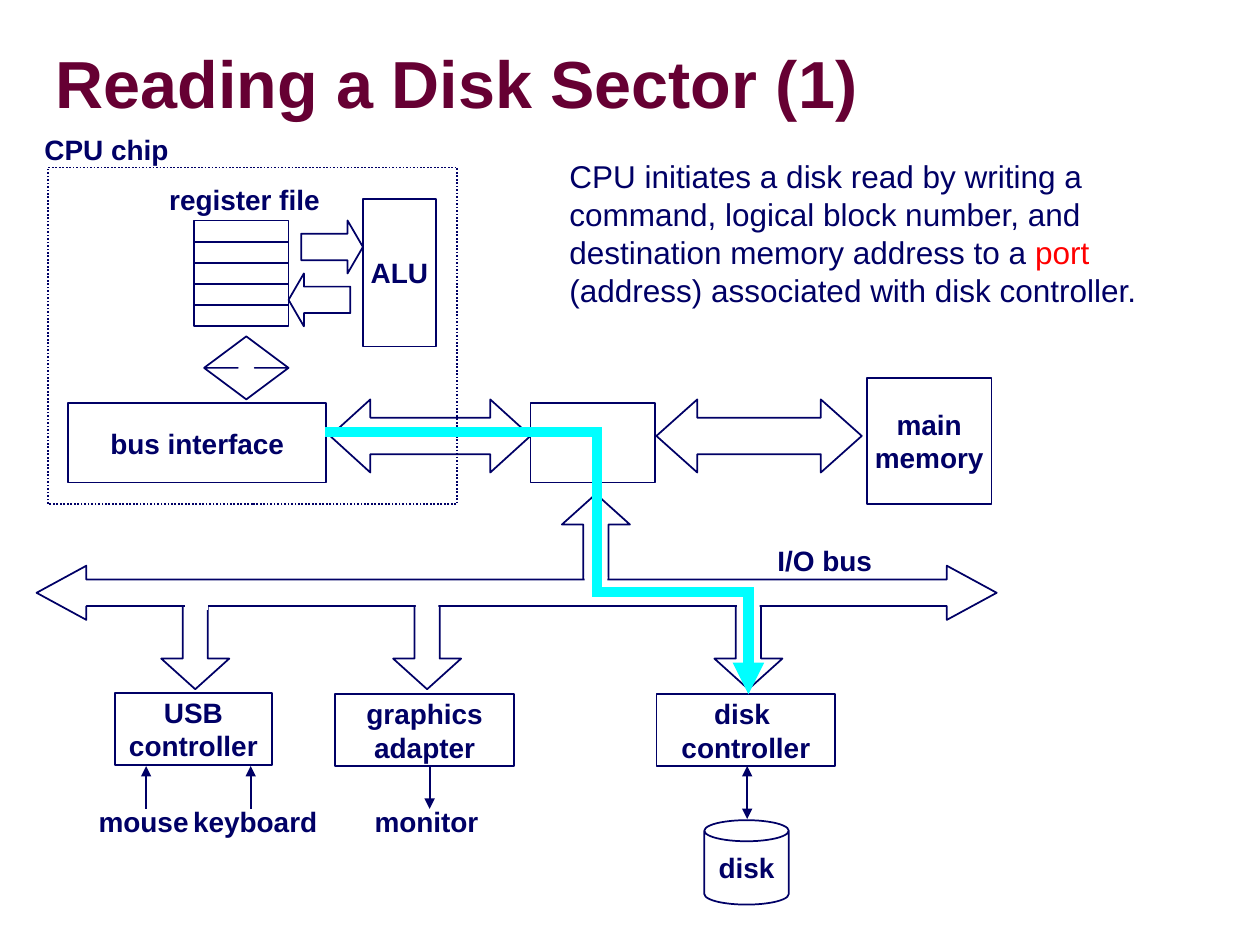
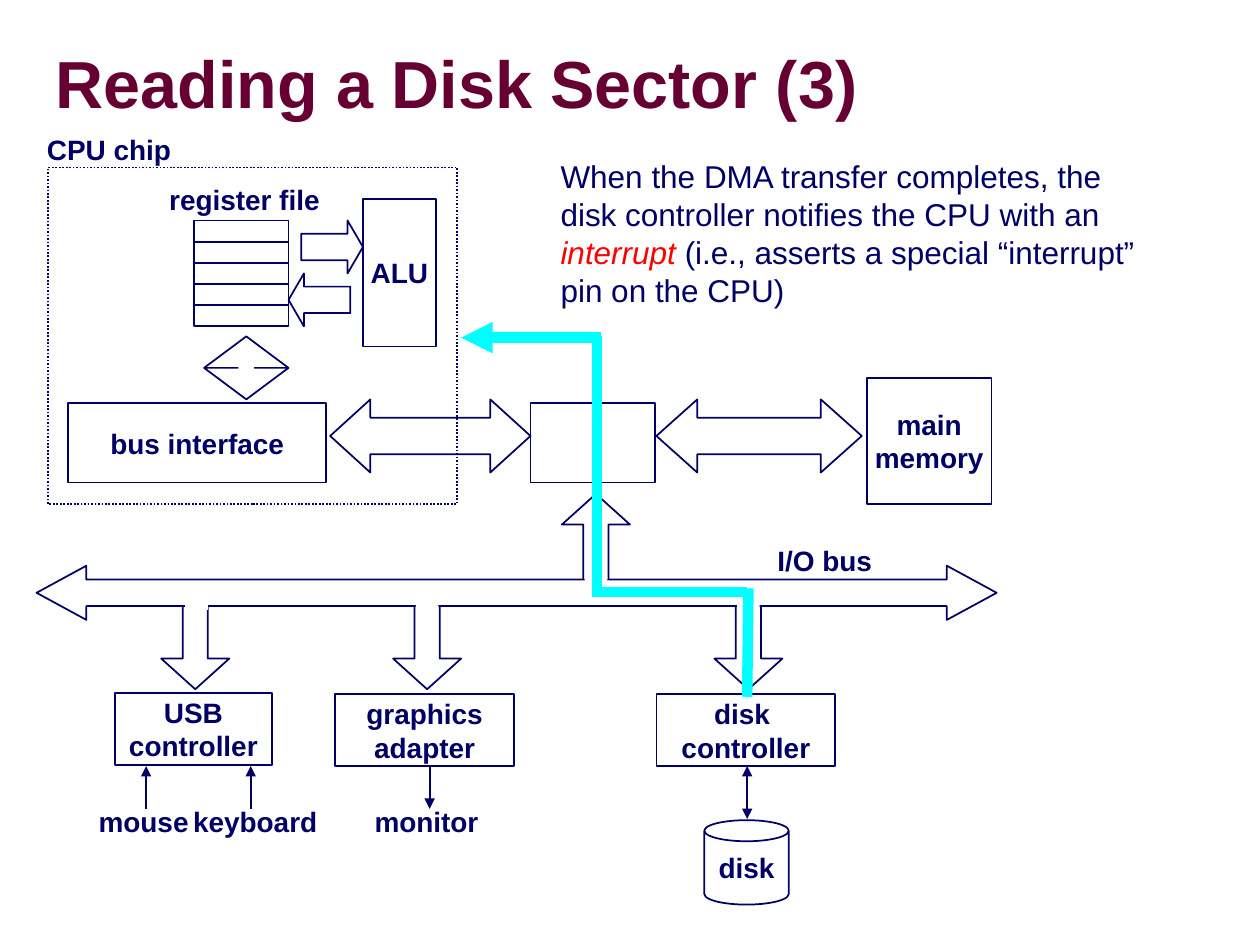
from lxml import etree
from pptx import Presentation
from pptx.dml.color import RGBColor
from pptx.enum.dml import MSO_LINE
from pptx.enum.shapes import MSO_CONNECTOR, MSO_SHAPE as MS
from pptx.enum.text import MSO_ANCHOR, MSO_AUTO_SIZE, PP_ALIGN
from pptx.oxml.ns import qn
from pptx.util import Inches, Pt

COLORS = {"navy": "000066", "wine": "660033", "red": "FF0000",
          "cyan": "00FFFF", "white": "FFFFFF", "gray": "969696"}
FONT = "Arial"

# title, place of the chip label, place of the note, note runs, route of the signal
# a run is (text, colour, italic); a route leg is (start, end, arrow ends)
SLIDES = [
    {"title": "Reading a Disk Sector (1)", "chip": 0.25, "note": 4.42,
     "runs": [("CPU initiates a disk read by writing a command, logical block number, "
               "and destination memory address to a ", "navy", False),
              ("port ", "red", False),
              ("(address) associated with disk controller.", "navy", False)],
     "route": [((2.58, 3.43), (4.78, 3.43), ""),
               ((4.74, 3.43), (4.74, 4.67), ""),
               ((4.7, 4.7), (5.93, 4.7), ""),
               ((5.94, 4.66), (5.94, 5.51), "tail")]},
    {"title": "Reading a Disk Sector (3)", "chip": 0.27, "note": 4.35,
     "runs": [("When the DMA transfer completes, the disk controller notifies "
               "the CPU with an ", "navy", False),
              ("interrupt", "red", True),
              (" (i.e., asserts a special “interrupt” pin on the CPU)", "navy", False)],
     "route": [((4.77, 2.68), (3.66, 2.68), "tail"),
               ((4.74, 2.67), (4.74, 4.67), ""),
               ((4.7, 4.7), (5.93, 4.7), ""),
               ((5.94, 4.67), (5.93, 5.53), "")]},
]

# text, (left, top, width, height)
BOXES = [
    ("main\nmemory", (6.88, 3, 0.99, 1)),
    ("", (4.21, 3.2, 0.99, 0.63)),
    ("ALU", (2.88, 1.58, 0.58, 1.17)),
    ("disk \ncontroller", (5.21, 5.51, 1.42, 0.57)),
    ("graphics\nadapter", (2.66, 5.51, 1.42, 0.57)),
    ("USB\ncontroller", (0.91, 5.5, 1.25, 0.57)),
    ("bus interface", (0.54, 3.2, 2.05, 0.63)),
]
CHIP = (0.38, 1.33, 3.25, 2.67)
DISK = (5.59, 6.51, 0.67, 0.67)
REGS = (1.54, 1.75, 0.75, 0.17)
REG_COUNT, REG_STEP = 5, 1 / 6

# preset, place, adjustments
ARROWS = [
    (MS.LEFT_RIGHT_ARROW, (5.21, 3.17, 1.63, 0.58), (0.5, 0.56)),
    (MS.LEFT_RIGHT_ARROW, (2.62, 3.17, 1.59, 0.58), (0.5, 0.55)),
    (MS.RIGHT_ARROW, (2.39, 1.75, 0.49, 0.42), (0.5, 0.29)),
    (MS.LEFT_ARROW, (2.29, 2.17, 0.49, 0.42), (0.5, 0.29)),
    (MS.UP_DOWN_ARROW, (1.62, 2.67, 0.67, 0.5), (0.5, 0.2)),
    (MS.UP_ARROW, (4.46, 3.92, 0.54, 0.75), (0.37, 0.45)),
] + [(MS.DOWN_ARROW, (x, 4.72, 0.54, 0.75), (0.37, 0.45)) for x in (1.28, 3.12, 5.67)]
IO_BUS = (0.29, 4.49, 7.62, 0.43)
JOINTS = [(1.47, 4.67), (3.3, 4.66), (5.85, 4.65), (4.64, 4.58)]

LABELS = [
    ("register file", (1.24, 1.4, 1.4, 0.37)),
    ("mouse", (0.68, 6.33, 0.92, 0.37)),
    ("keyboard", (1.43, 6.33, 1.19, 0.37)),
    ("monitor", (2.87, 6.33, 1.03, 0.37)),
    ("I/O bus", (6.07, 4.26, 0.95, 0.37)),
]
# x, bottom, arrow ends
WIRES = [(1.16, 6.42, "head"), (1.99, 6.42, "head"),
         (3.41, 6.42, "tail"), (5.93, 6.5, "head tail")]


def rgb(name):
    return RGBColor.from_string(COLORS[name])


def inches(place):
    return [Inches(v) for v in place]


def style(run, size, color="navy", bold=False, italic=False):
    font = run.font
    font.name, font.size, font.bold, font.italic = FONT, Pt(size), bold, italic
    font.color.rgb = rgb(color)


def caption(shape, text):
    """Centre bold text in a shape, without wrapping."""
    frame = shape.text_frame
    frame.text = text
    frame.word_wrap = False
    frame.vertical_anchor = MSO_ANCHOR.MIDDLE
    for para in frame.paragraphs:
        para.alignment = PP_ALIGN.CENTER
        for run in para.runs:
            style(run, 16, bold=True)


def draw(slide, kind, place, text="", adj=(), fill=None, line="navy"):
    shape = slide.shapes.add_shape(kind, *inches(place))
    shape.shadow.inherit = False
    for i, value in enumerate(adj):
        shape.adjustments[i] = value
    if fill:
        shape.fill.solid()
        shape.fill.fore_color.rgb = rgb(fill)
    else:
        shape.fill.background()
    if line:
        shape.line.color.rgb = rgb(line)
        shape.line.width = Pt(1)
    else:
        shape.line.fill.background()
    if text:
        caption(shape, text)
    return shape


def label(slide, text, place):
    caption(slide.shapes.add_textbox(*inches(place)), text)


def wire(slide, start, end, ends, color="navy", width=1):
    link = slide.shapes.add_connector(MSO_CONNECTOR.STRAIGHT, *inches(start + end))
    link.line.color.rgb = rgb(color)
    link.line.width = Pt(width)
    props = link._element.spPr
    for side in ends.split():
        etree.SubElement(props.find(qn("a:ln")), qn(f"a:{side}End"), type="triangle")
    etree.SubElement(props, qn("a:effectLst"))


def add_title(slide, text):
    title = slide.shapes.title
    title.left, title.top, title.width, title.height = inches((0.44, 0.27, 9.39, 0.85))
    frame = title.text_frame
    frame.text = text
    frame.auto_size = MSO_AUTO_SIZE.NONE
    frame.vertical_anchor = MSO_ANCHOR.MIDDLE
    frame.margin_left = frame.margin_right = frame.margin_top = frame.margin_bottom = 0
    para = frame.paragraphs[0]
    para.alignment = PP_ALIGN.LEFT
    para.line_spacing = 0.87
    run = para.runs[0]
    style(run, 38, "wine", bold=True)
    effects = etree.Element(qn("a:effectLst"))
    shadow = etree.SubElement(effects, qn("a:outerShdw"), dist="60000", dir="2700000")
    etree.SubElement(shadow, qn("a:srgbClr"), val=COLORS["gray"])
    run._r.rPr.find(qn("a:latin")).addprevious(effects)


def add_note(slide, left, runs):
    frame = slide.shapes.add_textbox(*inches((left, 1.2, 4.81, 1.3))).text_frame
    frame.word_wrap = True
    for text, color, italic in runs:
        run = frame.paragraphs[0].add_run()
        run.text = text
        style(run, 18, color, italic=italic)


def add_diagram(slide, chip_left, route):
    draw(slide, MS.RECTANGLE, CHIP).line.dash_style = MSO_LINE.ROUND_DOT
    label(slide, "CPU chip", (chip_left, 1, 1.19, 0.37))
    x, y, w, h = REGS
    for i in range(REG_COUNT):
        draw(slide, MS.RECTANGLE, (x, y + i * REG_STEP, w, h))
    for kind, place, adj in ARROWS:
        draw(slide, kind, place, adj=adj)
    draw(slide, MS.LEFT_RIGHT_ARROW, IO_BUS, adj=(0.49, 0.92), fill="white")
    for joint in JOINTS:
        draw(slide, MS.RECTANGLE, joint + (0.18, 0.17), fill="white", line=None)
    for x, bottom, ends in WIRES:
        wire(slide, (x, 6.08), (x, bottom), ends)
    draw(slide, MS.CAN, DISK, "disk", adj=(0.25,))
    for text, place in BOXES:
        draw(slide, MS.RECTANGLE, place, text)
    for text, place in LABELS:
        label(slide, text, place)
    for start, end, ends in route:
        wire(slide, start, end, ends, "cyan", 6)


def main():
    deck = Presentation()
    deck.slide_width, deck.slide_height = Inches(10), Inches(7.5)
    for page in SLIDES:
        slide = deck.slides.add_slide(deck.slide_layouts[5])
        add_title(slide, page["title"])
        add_diagram(slide, page["chip"], page["route"])
        add_note(slide, page["note"], page["runs"])
    deck.save("out.pptx")


if __name__ == "__main__":
    main()
